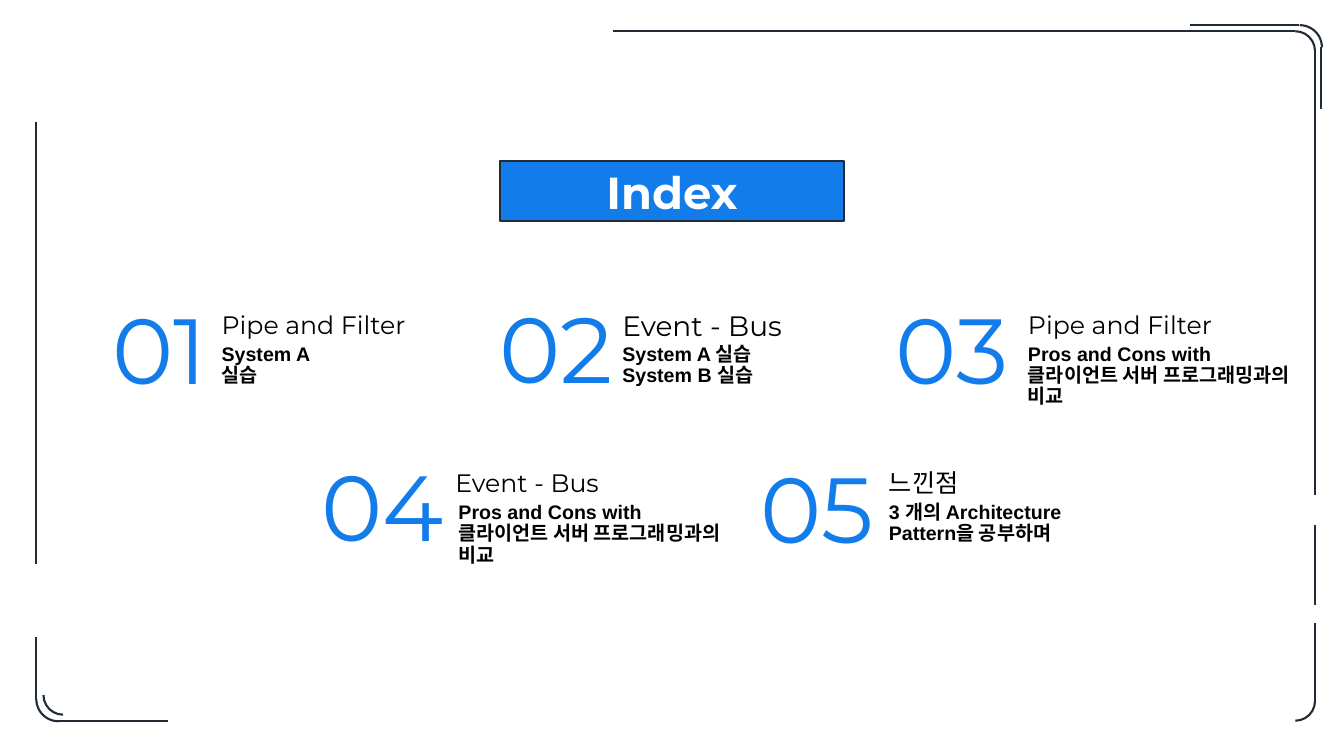
from dataclasses import dataclass

from lxml.etree import SubElement
from pptx import Presentation
from pptx.dml.color import RGBColor
from pptx.enum.shapes import MSO_CONNECTOR, MSO_SHAPE
from pptx.enum.text import MSO_ANCHOR, MSO_AUTO_SIZE, PP_ALIGN
from pptx.oxml.ns import qn
from pptx.slide import Slide
from pptx.util import Pt

BLUE, INK, WHITE, BLACK = "127CEA", "222A35", "FFFFFF", "000000"
FRAME_LEFT, FRAME_RIGHT, FRAME_TOP, FRAME_BOTTOM = 25.9, 939.4, 22.3, 514.8
OUTER_RIGHT, OUTER_TOP = 943.9, 18


@dataclass(frozen=True)
class Topic:
    number: str
    number_left: float
    number_top: float
    heading: str
    left: float
    top: float
    details: tuple[str, ...]
    details_width: float
    details_shift: float = 0
    heading_size: float = 18


@dataclass(frozen=True)
class Edge:
    x1: float
    y1: float
    x2: float
    y2: float


@dataclass(frozen=True)
class Corner:
    left: float
    top: float
    size: float
    rotation: float = 0


COMPARISON = ("Pros and Cons with", "클라이언트 서버 프로그래밍과의 비교")
TOPICS = (
    Topic("01", 37.4, 216, "Pipe and Filter", 151.2, 216, ("System A 실습",), 97.9),
    Topic("02", 327.6, 215.3, "Event - Bus", 437.4, 216,
          ("System A 실습", "System B 실습"), 169.2, heading_size=20),
    Topic("03", 609.8, 216, "Pipe and Filter", 727.2, 216, COMPARISON, 201.6),
    Topic("04", 206.6, 328.3, "Event - Bus", 318.2, 329, COMPARISON, 201.6, details_shift=2.2),
    Topic("05", 514.1, 329.8, "느낀점", 627.8, 329,
          ("3 개의 Architecture Pattern을 공부하며",), 182.2),
)
EDGES = (
    Edge(925.2, FRAME_TOP, 437.8, FRAME_TOP),
    Edge(FRAME_RIGHT, 353.5, FRAME_RIGHT, 36.7),
    Edge(928.1, OUTER_TOP, 850.3, OUTER_TOP),
    Edge(OUTER_RIGHT, 77.8, OUTER_RIGHT, 33.8),
    Edge(FRAME_RIGHT, 432, FRAME_RIGHT, 375.1),
    Edge(FRAME_RIGHT, 501.8, FRAME_RIGHT, 445),
    Edge(41.8, FRAME_BOTTOM, 120.2, FRAME_BOTTOM),
    Edge(FRAME_LEFT, 455, FRAME_LEFT, 499.7),
    Edge(FRAME_LEFT, 403.2, FRAME_LEFT, 87.1),
)
CORNERS = (
    Corner(911.2, FRAME_TOP, 28.1),
    Corner(912.6, OUTER_TOP, 31.7),
    Corner(911.2, 486.7, 28.1, 90),
    Corner(31, 482.4, 28.1, 180),
    Corner(FRAME_LEFT, 483.5, 31.7, 180),
)


def color(hex_code: str) -> RGBColor:
    return RGBColor.from_string(hex_code)


def draw_edge(slide: Slide, edge: Edge) -> None:
    line = slide.shapes.add_connector(
        MSO_CONNECTOR.STRAIGHT, Pt(edge.x1), Pt(edge.y1), Pt(edge.x2), Pt(edge.y2))
    line.line.color.rgb = color(INK)
    line.line.width = Pt(1.5)
    SubElement(line._element.spPr, qn("a:effectLst"))


def draw_corner(slide: Slide, corner: Corner) -> None:
    arc = slide.shapes.add_shape(
        MSO_SHAPE.ARC, Pt(corner.left), Pt(corner.top), Pt(corner.size), Pt(corner.size))
    arc.rotation = corner.rotation
    arc.shadow.inherit = False
    arc.fill.background()
    arc.line.color.rgb = color(INK)
    arc.line.width = Pt(1.5)


def draw_title(slide: Slide) -> None:
    """Turn the title placeholder into a rounded blue banner."""
    title = slide.shapes.title
    title.left, title.top, title.width, title.height = Pt(357), Pt(115.2), Pt(246), Pt(43)
    outline = SubElement(title._element.spPr, qn("a:prstGeom"), prst="roundRect")
    adjustments = SubElement(outline, qn("a:avLst"))
    SubElement(adjustments, qn("a:gd"), name="adj", fmla="val 11100")
    title.fill.solid()
    title.fill.fore_color.rgb = color(BLUE)
    title.line.color.rgb = color(INK)
    title.line.width = Pt(1.5)

    frame = title.text_frame
    frame.text = "Index"
    frame.auto_size = MSO_AUTO_SIZE.NONE
    frame.vertical_anchor = MSO_ANCHOR.MIDDLE
    paragraph = frame.paragraphs[0]
    paragraph.alignment = PP_ALIGN.CENTER
    paragraph.font.name = "Montserrat"
    paragraph.font.size = Pt(32)
    paragraph.font.bold = True
    paragraph.font.color.rgb = color(WHITE)


def draw_text(slide: Slide, lines: tuple[str, ...], left: float, top: float,
              width: float, height: float, size: float, *, font: str = "Montserrat",
              hex_code: str = BLACK, bold: bool = False,
              align: PP_ALIGN = PP_ALIGN.LEFT, anchor: MSO_ANCHOR = MSO_ANCHOR.TOP) -> None:
    frame = slide.shapes.add_textbox(Pt(left), Pt(top), Pt(width), Pt(height)).text_frame
    frame.word_wrap = True
    frame.vertical_anchor = anchor
    frame.margin_left = frame.margin_right = frame.margin_top = frame.margin_bottom = Pt(7.2)
    frame.text = "\n".join(lines)
    for paragraph in frame.paragraphs:
        paragraph.alignment = align
        paragraph.line_spacing = 0.9
        paragraph.font.name = font
        paragraph.font.size = Pt(size)
        paragraph.font.bold = bold
        paragraph.font.color.rgb = color(hex_code)


def draw_topic(slide: Slide, topic: Topic) -> None:
    draw_text(slide, (topic.number,), topic.number_left, topic.number_top, 117.4, 74.2, 66,
              hex_code=BLUE, align=PP_ALIGN.RIGHT, anchor=MSO_ANCHOR.MIDDLE)
    draw_text(slide, (topic.heading,), topic.left, topic.top, 169.2, 30.2, topic.heading_size)
    draw_text(slide, topic.details, topic.left + topic.details_shift, topic.top + 23,
              topic.details_width, 60.5, 14, font="Arial", bold=True)


def main() -> None:
    presentation = Presentation()
    presentation.slide_width, presentation.slide_height = Pt(960), Pt(540)
    slide = presentation.slides.add_slide(presentation.slide_layouts.get_by_name("Title Only"))
    for edge in EDGES:
        draw_edge(slide, edge)
    for corner in CORNERS:
        draw_corner(slide, corner)
    draw_title(slide)
    for topic in TOPICS:
        draw_topic(slide, topic)
    presentation.save("out.pptx")


if __name__ == "__main__":
    main()
